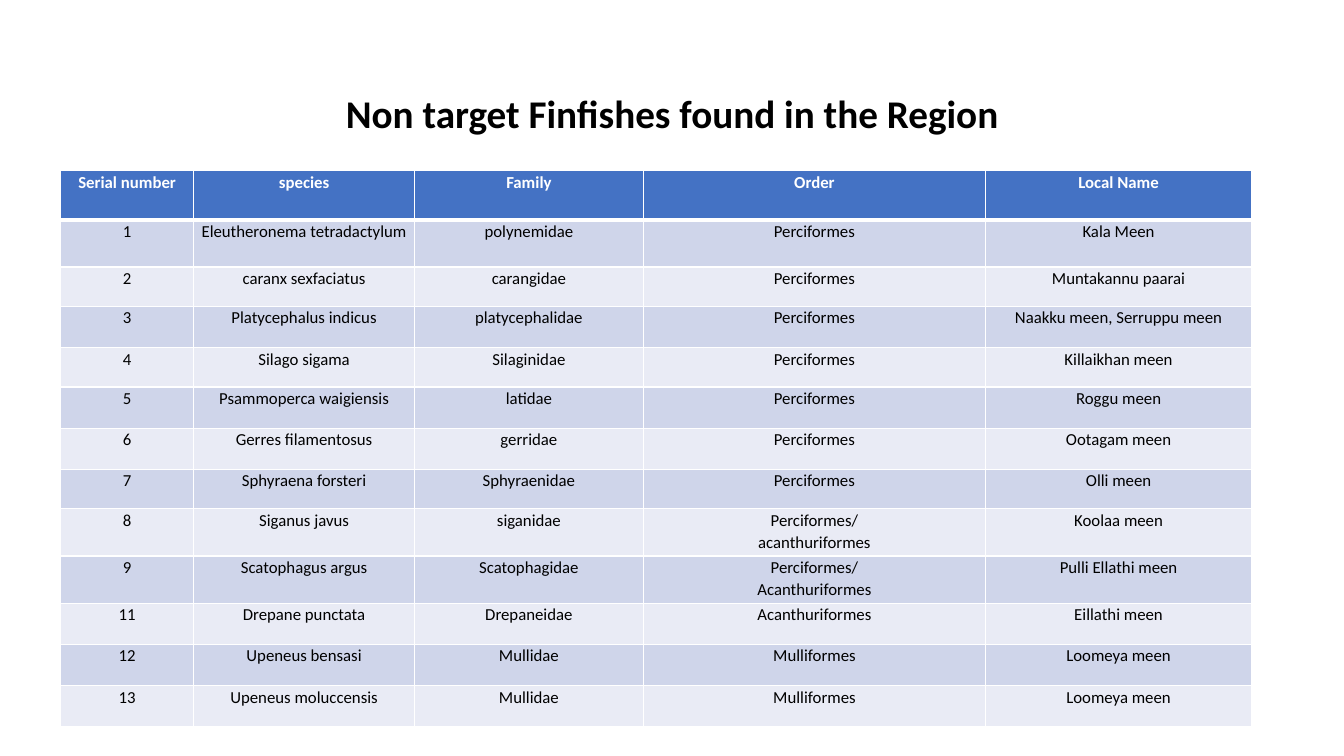
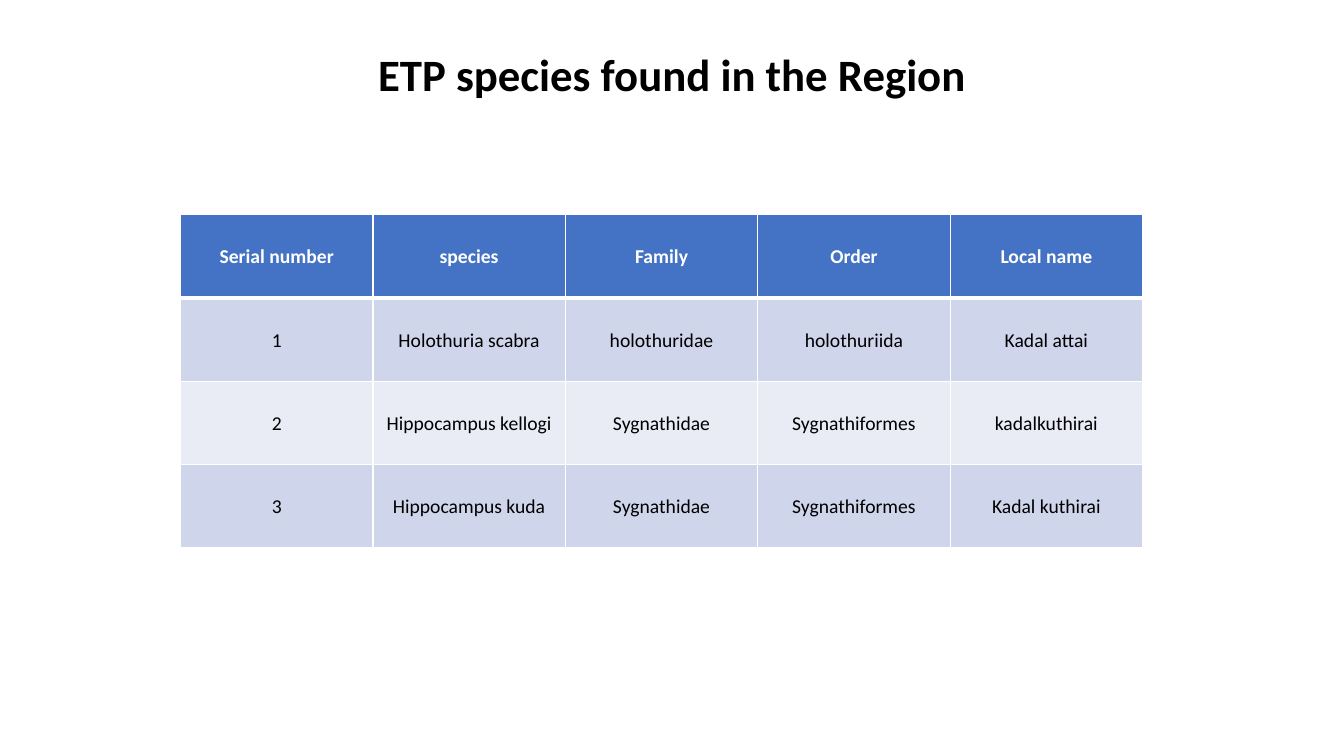
from lxml import etree
from pptx import Presentation
from pptx.dml.color import RGBColor
from pptx.enum import text as t
from pptx.oxml import ns
from pptx.util import Cm, Pt

# Shared look
FONT = "Calibri"
BLACK = RGBColor(0x00, 0x00, 0x00)
WHITE = RGBColor(0xFF, 0xFF, 0xFF)
HEADER = RGBColor(0x44, 0x72, 0xC4)
BANDS = (RGBColor(0xCF, 0xD5, 0xEA), RGBColor(0xE9, 0xEB, 0xF5))
THIN, THICK = Pt(1), Pt(3)
TITLE_ONLY = 5

FINFISH = [
    ("Serial number", "species", "Family", "Order", "Local Name"),
    ("1", "Eleutheronema tetradactylum", "polynemidae", "Perciformes", "Kala Meen"),
    ("2", "caranx sexfaciatus", "carangidae", "Perciformes", "Muntakannu paarai"),
    ("3", "Platycephalus indicus", "platycephalidae", "Perciformes",
     "Naakku meen, Serruppu meen"),
    ("4", "Silago sigama", "Silaginidae", "Perciformes", "Killaikhan meen"),
    ("5", "Psammoperca waigiensis", "latidae", "Perciformes", "Roggu meen"),
    ("6", "Gerres filamentosus", "gerridae", "Perciformes", "Ootagam meen"),
    ("7", "Sphyraena forsteri", "Sphyraenidae", "Perciformes", "Olli meen"),
    ("8", "Siganus javus", "siganidae", "Perciformes/\nacanthuriformes", "Koolaa meen"),
    ("9", "Scatophagus argus", "Scatophagidae", "Perciformes/\nAcanthuriformes",
     "Pulli Ellathi meen"),
    ("11", "Drepane punctata", "Drepaneidae", "Acanthuriformes", "Eillathi meen"),
    ("12", "Upeneus bensasi", "Mullidae", "Mulliformes", "Loomeya meen"),
    ("13", "Upeneus moluccensis", "Mullidae", "Mulliformes", "Loomeya meen"),
]
FINFISH_COLS = (3.35, 5.57, 5.76, 8.63, 6.7)
FINFISH_ROWS = (1.24, 1.19, 0.99, 1.04, 0.99, 1.04, 1.04, 0.99, 1.19, 1.19,
                1.04, 1.04, 1.04)

ETP = [
    ("Serial number", "species", "Family", "Order", "Local name"),
    ("1", "Holothuria scabra", "holothuridae", "holothuriida", "Kadal attai"),
    ("2", "Hippocampus kellogi", "Sygnathidae", "Sygnathiformes", "kadalkuthirai"),
    ("3", "Hippocampus kuda", "Sygnathidae", "Sygnathiformes", "Kadal kuthirai"),
]


def add_text(p, text, size, color, bold):
    """Add one centred run to a paragraph."""
    p.alignment = t.PP_ALIGN.CENTER
    r = p.add_run()
    r.text = text
    f = r.font
    f.name, f.size, f.bold = FONT, Pt(size), bold
    f.color.rgb = color


def set_borders(cell, top, bottom):
    """Draw white cell borders; only top and bottom vary in width."""
    tcPr = cell._tc.get_or_add_tcPr()
    for side, width in (("L", THIN), ("R", THIN), ("T", top), ("B", bottom)):
        ln = etree.SubElement(tcPr, ns.qn("a:ln" + side), w=str(width))
        fill = etree.SubElement(ln, ns.qn("a:solidFill"))
        etree.SubElement(fill, ns.qn("a:srgbClr"), val=str(WHITE))


def fill_cell(cell, text, row, size, anchor):
    header = row == 0
    set_borders(cell, THICK if row == 1 else THIN, THICK if header else THIN)
    cell.fill.solid()
    cell.fill.fore_color.rgb = HEADER if header else BANDS[(row - 1) % 2]
    cell.margin_left = cell.margin_right = Cm(0.17)
    cell.margin_top = cell.margin_bottom = 0
    cell.vertical_anchor = anchor
    tf = cell.text_frame
    for i, line in enumerate(text.split("\n")):
        p = tf.add_paragraph() if i else tf.paragraphs[0]
        p.line_spacing = 1.07
        add_text(p, line, size, WHITE if header else BLACK, header)


def add_species_table(slide, left, top, cols, rows, data, size, anchor):
    """Place a table whose size follows from its column and row lengths in cm."""
    frame = slide.shapes.add_table(len(rows), len(cols), Cm(left), Cm(top),
                                   Cm(sum(cols)), Cm(sum(rows)))
    table = frame.table
    table.horz_banding = False
    for column, width in zip(table.columns, cols):
        column.width = Cm(width)
    for i, (height, record) in enumerate(zip(rows, data)):
        table.rows[i].height = Cm(height)
        for j, text in enumerate(record):
            fill_cell(table.cell(i, j), text, i, size, anchor)


def add_titled_slide(prs, title, box, size):
    slide = prs.slides.add_slide(prs.slide_layouts[TITLE_ONLY])
    sp = slide.shapes.title
    sp.left, sp.top, sp.width, sp.height = map(Cm, box)
    tf = sp.text_frame
    tf.word_wrap = True
    tf.auto_size = t.MSO_AUTO_SIZE.NONE
    tf.vertical_anchor = t.MSO_ANCHOR.MIDDLE
    add_text(tf.paragraphs[0], title, size, BLACK, True)
    return slide


def main():
    prs = Presentation()
    prs.slide_width, prs.slide_height = Cm(33.87), Cm(19.05)

    # Finfishes
    s = add_titled_slide(prs, "Non target Finfishes found in the Region",
                         (2.33, 1.01, 29.21, 3.68), 28)
    add_species_table(s, 1.53, 4.3, FINFISH_COLS, FINFISH_ROWS, FINFISH, 12,
                      t.MSO_ANCHOR.TOP)

    # Endangered, threatened and protected species
    s = add_titled_slide(prs, "ETP species found in the Region",
                         (1.93, 1.04, 30.02, 1.63), 32)
    add_species_table(s, 4.55, 5.41, [4.85] * 5, [2.1] * 4, ETP, 14,
                      t.MSO_ANCHOR.MIDDLE)

    prs.save("out.pptx")


if __name__ == "__main__":
    main()
